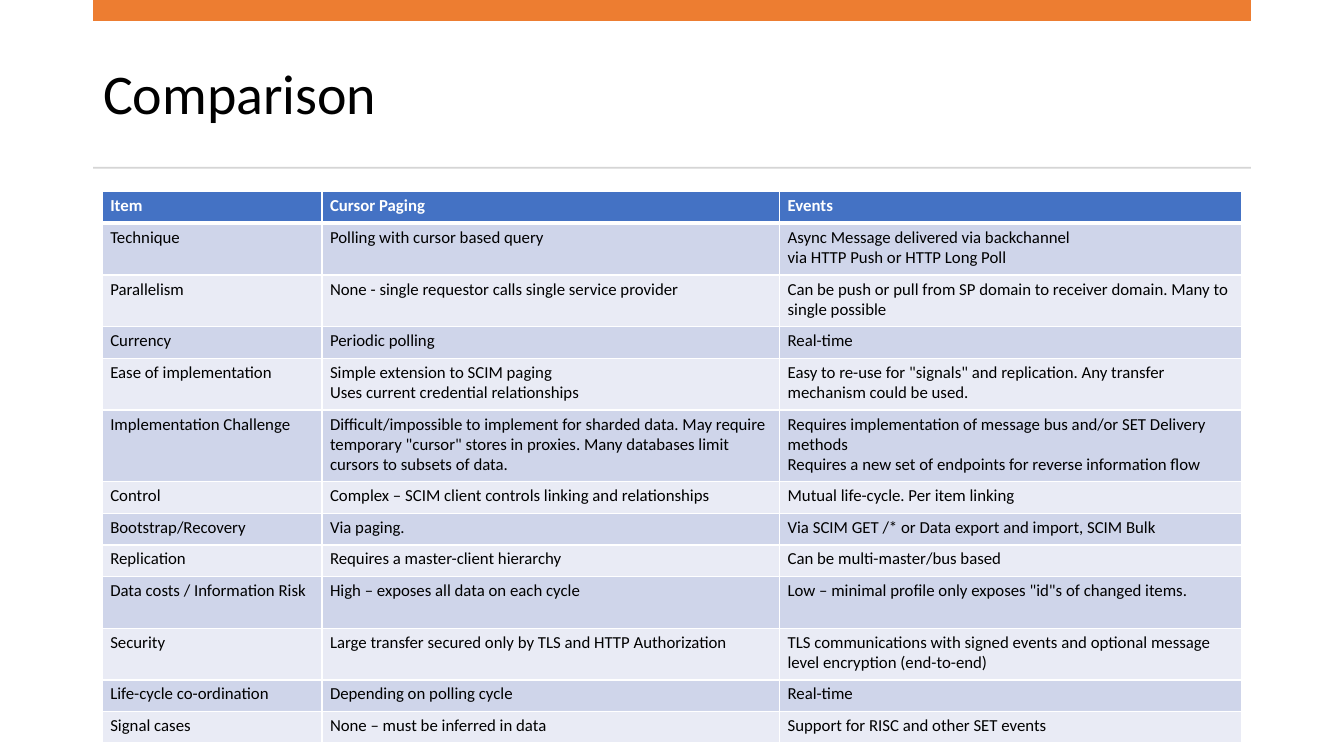
import pptx
import pptx.util
import pptx.dml.color
import pptx.enum.shapes
import pptx.enum.text
import pptx.oxml
import pptx.oxml.ns

Pt = pptx.util.Pt
FONT = "Calibri"
HUES = {"bar": "ED7D31", "rule": "D5D5D5", "head": "4472C4", "odd": "CFD5EA",
        "even": "E9EBF5", "white": "FFFFFF", "black": "000000"}

# Lines of text that each row has room for, then its cells;
# \n starts a paragraph, \v breaks a line
ROWS = [
    (1, "Item", "Cursor Paging", "Events"),
    (2, "Technique", "Polling with cursor based query",
     "Async Message delivered via backchannel\nvia HTTP Push or HTTP Long Poll"),
    (2, "Parallelism", "None - single requestor calls single service provider",
     "Can be push or pull from SP domain to receiver domain. "
     "Many to single possible"),
    (1, "Currency", "Periodic polling", "Real-time"),
    (2, "Ease of implementation",
     "Simple extension to SCIM paging\vUses current credential relationships",
     'Easy to re-use for "signals" and replication. '
     "Any transfer mechanism could be used."),
    (3, "Implementation Challenge",
     "Difficult/impossible to implement for sharded data. May require "
     'temporary "cursor" stores in proxies. Many databases limit cursors '
     "to subsets of data.",
     "Requires implementation of message bus and/or SET Delivery methods\v"
     "Requires a new set of endpoints for reverse information flow"),
    (1, "Control", "Complex – SCIM client controls linking and relationships",
     "Mutual life-cycle. Per item linking"),
    (1, "Bootstrap/Recovery", "Via paging.",
     "Via SCIM GET /* or Data export and import, SCIM Bulk"),
    (1, "Replication", "Requires a master-client hierarchy",
     "Can be multi-master/bus based"),
    (2, "Data costs / Information Risk", "High – exposes all data on each cycle",
     'Low – minimal profile only exposes "id"s of changed items.'),
    (2, "Security", "Large transfer secured only by TLS and HTTP Authorization",
     "TLS communications with signed events and optional message level "
     "encryption (end-to-end)"),
    (1, "Life-cycle co-ordination", "Depending on polling cycle", "Real-time"),
    (1, "Signal cases", "None – must be inferred in data",
     "Support for RISC and other SET events"),
]


def color(name):
    return pptx.dml.color.RGBColor.from_string(HUES[name])


def write(frame, text, size, hue, bold=False):
    for i, line in enumerate(text.split("\n")):
        para = frame.add_paragraph() if i else frame.paragraphs[0]
        for j, part in enumerate(line.split("\v")):
            if j:
                para.add_line_break()
            run = para.add_run()
            run.text = part
            run.font.name = FONT
            run.font.size = Pt(size)
            run.font.bold = bold
            run.font.color.rgb = color(hue)


def band(slide, box, hue):
    rect = slide.shapes.add_shape(
        pptx.enum.shapes.MSO_SHAPE.RECTANGLE, *map(Pt, box))
    rect.shadow.inherit = False
    rect.fill.solid()
    rect.fill.fore_color.rgb = color(hue)
    rect.line.fill.background()


def header(slide, box):
    left, top, width, height = box
    # Title
    title = slide.shapes.add_textbox(
        Pt(left), Pt(top + 26.6), Pt(width), Pt(85))
    frame = title.text_frame
    frame.word_wrap = True
    frame.vertical_anchor = pptx.enum.text.MSO_ANCHOR.MIDDLE
    frame.paragraphs[0].line_spacing = 0.9
    write(frame, "Comparison", 40, "black")
    # Bar above and rule below
    band(slide, (left, top, width, 15), "bar")
    band(slide, (left, top + height - 1.4, width, 1.4), "rule")


def border(cell, side, width):
    space = pptx.oxml.ns.nsdecls("a")
    cell._tc.get_or_add_tcPr().append(pptx.oxml.parse_xml(
        f'<a:ln{side} {space} w="{Pt(width)}"><a:solidFill>'
        f'<a:srgbClr val="{HUES["white"]}"/></a:solidFill></a:ln{side}>'))


def grid(slide, box):
    left, top, width, height = box
    shares = (2.18, 4.54, 4.58)
    # Each row has the same padding plus 14.4 points for each line
    step = 14.4
    pad = (height - step * sum(row[0] for row in ROWS)) / len(ROWS)
    table = slide.shapes.add_table(
        len(ROWS), len(shares), *map(Pt, box)).table
    for col, share in zip(table.columns, shares):
        col.width = Pt(width * share / sum(shares))
    for r, (lines, *texts) in enumerate(ROWS):
        table.rows[r].height = Pt(pad + step * lines)
        head = r == 0
        for c, text in enumerate(texts):
            cell = table.cell(r, c)
            cell.margin_left = cell.margin_right = Pt(5.8)
            cell.margin_top = cell.margin_bottom = Pt(2.9)
            for side in "LRTB":
                thick = (head and side == "B") or (r == 1 and side == "T")
                border(cell, side, 3 if thick else 1)
            cell.fill.solid()
            cell.fill.fore_color.rgb = color(
                "head" if head else "odd" if r % 2 else "even")
            write(cell.text_frame, text, 12, "white" if head else "black", head)


deck = pptx.Presentation()
deck.slide_width, deck.slide_height = Pt(960), Pt(540)
page = deck.slides.add_slide(deck.slide_layouts[6])
header(page, (66.5, 0, 827, 120.5))
grid(page, (73, 137, 813.6, 393.8))
deck.save("out.pptx")
